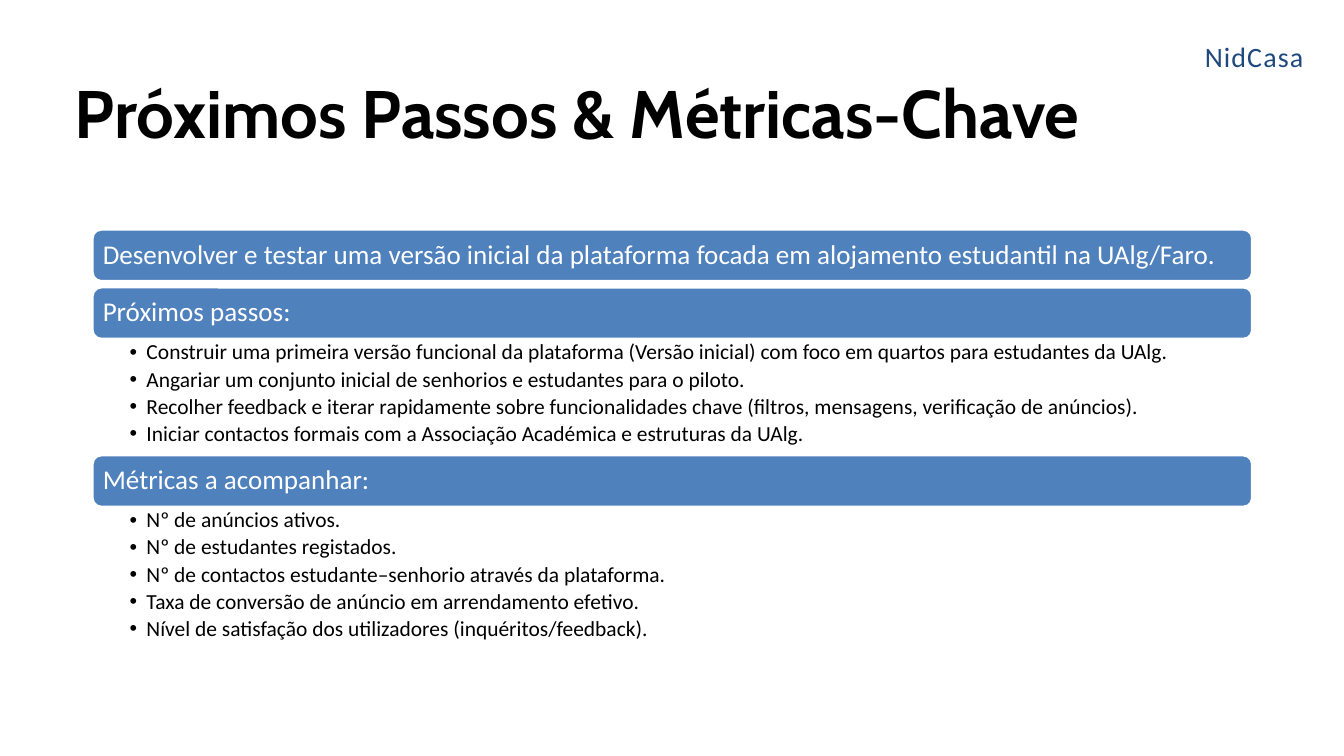
from pptx import Presentation
from pptx.dml.color import RGBColor
from pptx.enum.shapes import MSO_SHAPE
from pptx.enum.text import MSO_ANCHOR, PP_ALIGN
from pptx.util import Pt
from lxml.etree import SubElement

TITLE = "Próximos Passos & Métricas-Chave"
BRAND = "NidCasa"
# Each bar: heading, bullets below it
BARS = [
    ("Desenvolver e testar uma versão inicial da plataforma focada em "
     "alojamento estudantil na UAlg/Faro.", []),
    ("Próximos passos:", [
        "Construir uma primeira versão funcional da plataforma (Versão inicial) "
        "com foco em quartos para estudantes da UAlg.",
        "Angariar um conjunto inicial de senhorios e estudantes para o piloto.",
        "Recolher feedback e iterar rapidamente sobre funcionalidades chave "
        "(filtros, mensagens, verificação de anúncios).",
        "Iniciar contactos formais com a Associação Académica e estruturas da UAlg.",
    ]),
    ("Métricas a acompanhar:", [
        "Nº de anúncios ativos.",
        "Nº de estudantes registados.",
        "Nº de contactos estudante–senhorio através da plataforma.",
        "Taxa de conversão de anúncio em arrendamento efetivo.",
        "Nível de satisfação dos utilizadores (inquéritos/feedback).",
    ]),
]
BLUE, NAVY, WHITE, BLACK = "4F81BD", "1F497D", "FFFFFF", "000000"
LEFT, TOP, WIDTH = 99.36, 246.24, 1242
BAR, GAP, ROW = 54.72, 7.2, 31.3  # bar height, gap after a bare bar, bullet row


def color(code):
    return RGBColor.from_string(code)


def write(shape, text, size, ink=BLACK, font="Calibri", bold=False, inset=(0, 0, 0, 0),
          anchor=MSO_ANCHOR.TOP, line=0.9, after=0, track=0, bullet=False, wrap=True):
    """Fill a shape with one paragraph per line of text."""
    frame = shape.text_frame
    frame.word_wrap = wrap
    frame.vertical_anchor = anchor
    (frame.margin_left, frame.margin_top,
     frame.margin_right, frame.margin_bottom) = map(Pt, inset)
    frame.text = text
    for para in frame.paragraphs:
        para.alignment = PP_ALIGN.LEFT
        para.line_spacing = line
        para.space_after = Pt(after)
        face = para.runs[0].font
        face.name, face.size, face.bold = font, Pt(size), bold
        face.color.rgb = color(ink)
        if track:
            face._element.set("spc", str(int(track * 100)))
        if bullet:
            para.level = 1
            props = para._p.get_or_add_pPr()
            props.set("marL", str(Pt(18)))
            props.set("indent", str(Pt(-18)))
            space = props.nsmap["a"]
            SubElement(props, f"{{{space}}}buFont", typeface="Arial")
            SubElement(props, f"{{{space}}}buChar", char="•")


deck = Presentation()
deck.slide_width, deck.slide_height = Pt(1440), Pt(810)
slide = deck.slides.add_slide(deck.slide_layouts[6])
shapes = slide.shapes

# Title
head = shapes.add_textbox(Pt(80), Pt(76.3), Pt(1234), Pt(174))
write(head, TITLE, 72, font="Cabin", bold=True, line=1.0)

# Bars, each followed by its bullets
top = TOP
for label, items in BARS:
    bar = shapes.add_shape(MSO_SHAPE.ROUNDED_RECTANGLE, Pt(LEFT), Pt(top), Pt(WIDTH), Pt(BAR))
    bar.shadow.inherit = False
    bar.fill.solid()
    bar.fill.fore_color.rgb = color(BLUE)
    bar.line.color.rgb = color(WHITE)
    bar.line.width = Pt(2)
    write(bar, label, 29, ink=WHITE, inset=(8.1, 6, 8.1, 6), anchor=MSO_ANCHOR.MIDDLE)
    top += BAR
    if items:
        tall = ROW * len(items)
        box = shapes.add_textbox(Pt(LEFT), Pt(top), Pt(WIDTH), Pt(tall))
        write(box, "\n".join(items), 23, inset=(39.6, 2.9, 16.6, 2.9), after=4.2, bullet=True)
        top += tall
    else:
        top += GAP

# Brand name
mark = shapes.add_textbox(Pt(1283.8), Pt(38.9), Pt(124.6), Pt(43.2))
write(mark, BRAND, 30, ink=NAVY, inset=(7.2, 3.6, 7.2, 3.6),
      anchor=MSO_ANCHOR.BOTTOM, track=1.2, wrap=False)

deck.save("out.pptx")
